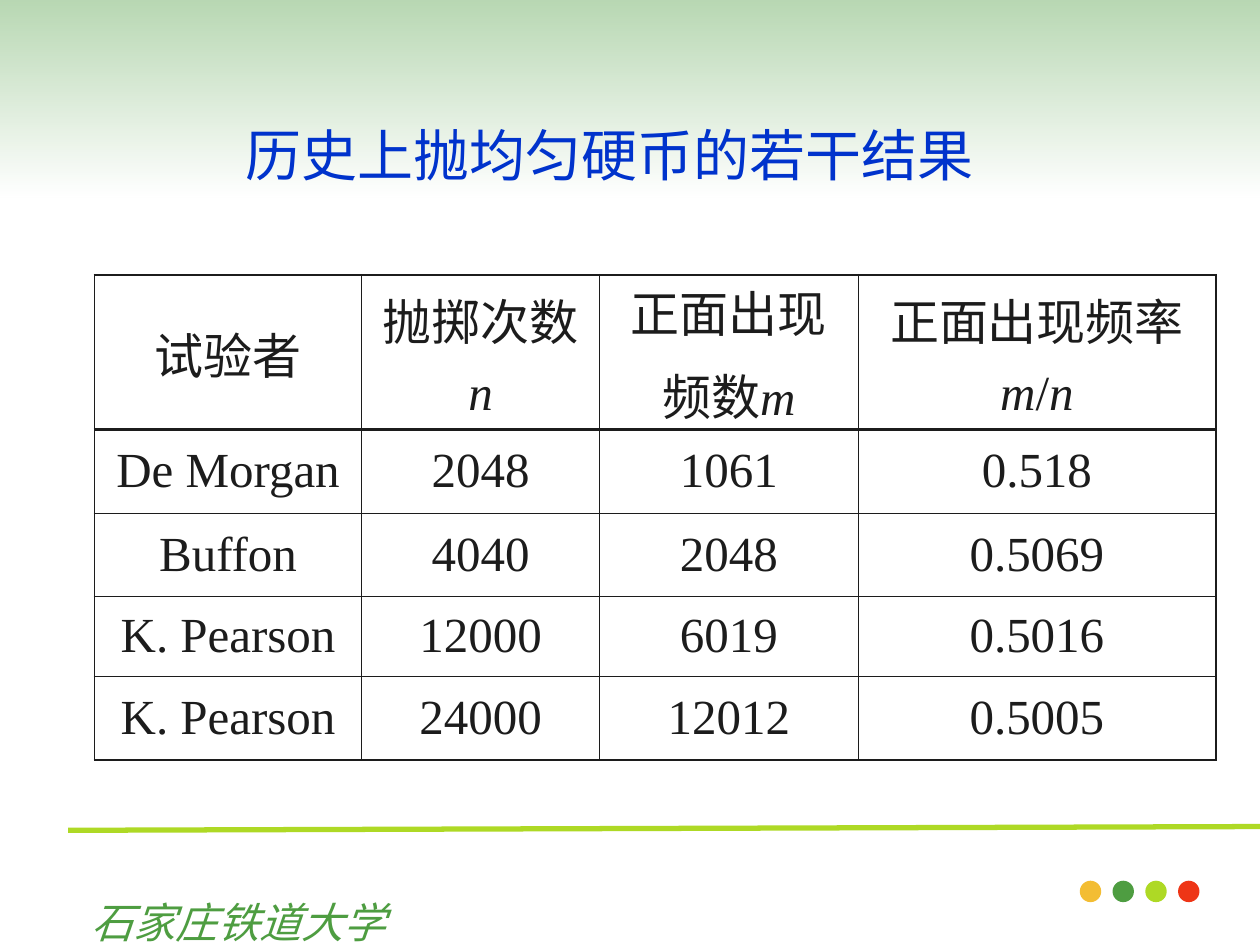
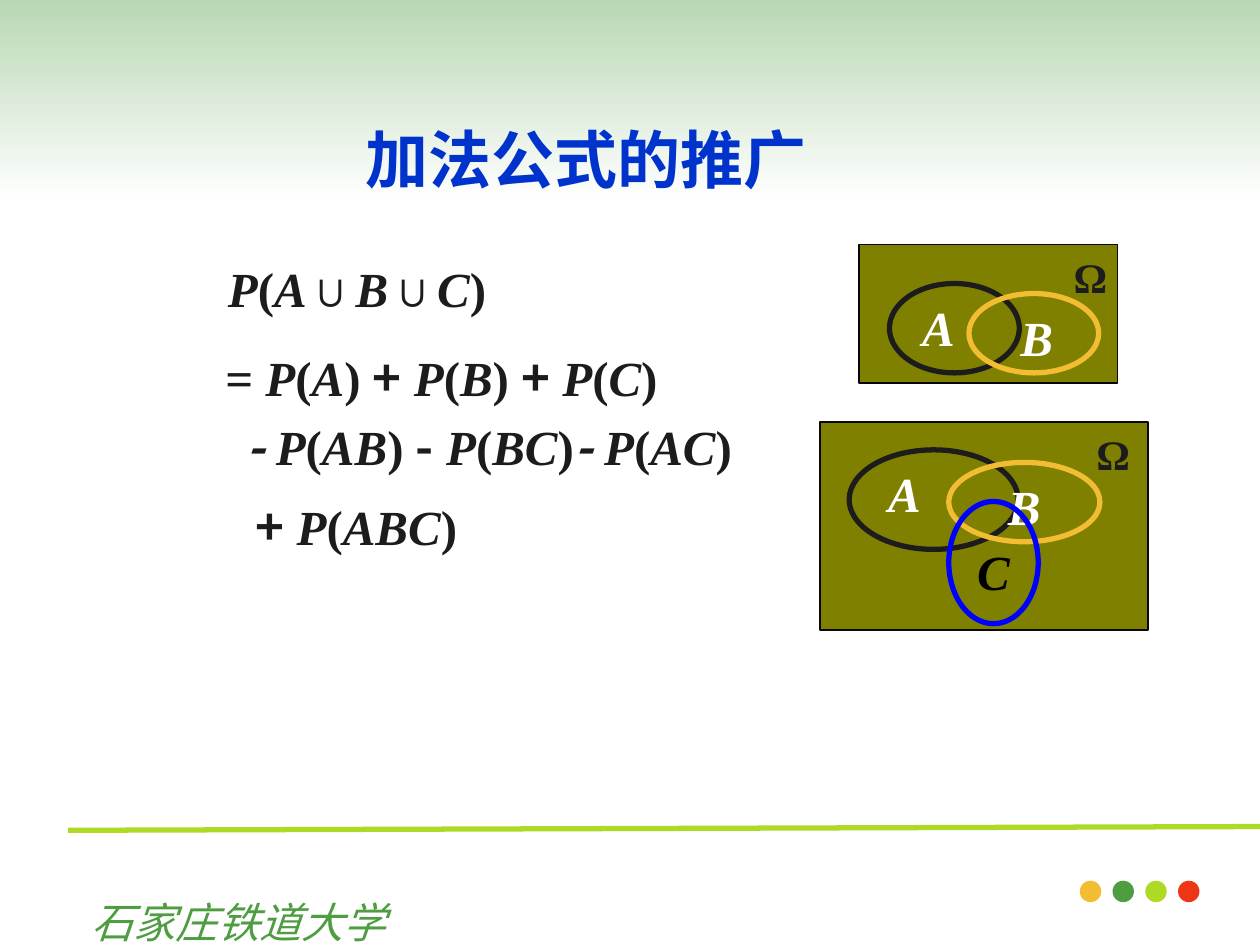
from dataclasses import dataclass
from itertools import groupby
from typing import NamedTuple

from lxml import etree
from pptx import Presentation
from pptx import util as u
from pptx.dml.color import RGBColor
from pptx.enum import shapes, text
from pptx.oxml.ns import qn

COLS, ROWS = 100, 75  # slide grid
CELL = u.Inches(0.1)
SERIF, SANS = "Times New Roman", "Noto Sans CJK SC"
C = {
    "green": "4E9D41", "lime": "AED925", "red": "EE3516", "amber": "F3BD33",
    "ink": "1C1C1C", "title": "0033CC", "olive": "808000", "edge": "080808",
    "blue": "0000FF", "white": "FFFFFF", "black": "000000",
}
LEFT, CENTER = text.PP_ALIGN.LEFT, text.PP_ALIGN.CENTER
RECT, OVAL = shapes.MSO_SHAPE.RECTANGLE, shapes.MSO_SHAPE.OVAL
THIN, FRAME, HEAVY = 0.45, 1.08, 2.21  # table rules, points


@dataclass(frozen=True)
class Box:
    """A place on the grid, in columns and rows."""
    col: float
    row: float
    cols: float
    rows: float

    def emu(self) -> list[int]:
        return [round(v * CELL) for v in (self.col, self.row, self.cols, self.rows)]


class Ring(NamedTuple):
    box: Box
    color: str
    label: str = ""
    label_box: Box | None = None


class Venn(NamedTuple):
    frame: Box
    omega: Box
    rings: list[Ring]


def rgb(name: str) -> RGBColor:
    return RGBColor.from_string(C[name])


def add_solid(parent, name: str) -> None:
    fill = etree.SubElement(parent, qn("a:solidFill"))
    etree.SubElement(fill, qn("a:srgbClr"), val=C[name])


def write(tf, content: str, *, size: float = 28, color: str = "ink", bold: bool = False,
          font: str = SERIF, align=LEFT, spacing: float = 1.0, before: float = 0) -> None:
    """Fill a frame; *stars* enclose italics, line breaks part paragraphs, signs are sans."""
    for n, line in enumerate(content.split("\n")):
        p = tf.add_paragraph() if n else tf.paragraphs[0]
        p.alignment, p.line_spacing = align, spacing
        if n:
            p.space_before = u.Pt(before)
        for k, part in enumerate(line.split("*")):
            for is_sign, chars in groupby(part, lambda ch: ch in "+-"):
                r = p.add_run()
                r.text = "".join(chars)
                f = r.font
                f.name = SANS if is_sign else font
                f.size, f.bold, f.italic = u.Pt(size), bold, k % 2 == 1
                f.color.rgb = rgb(color)
                latin = f._element.find(qn("a:latin"))
                latin.addnext(latin.makeelement(qn("a:ea"), {"typeface": SANS}))


def add_text(s, box: Box, content: str, **fmt):
    tf = s.shapes.add_textbox(*box.emu()).text_frame
    tf.word_wrap = True
    write(tf, content, spacing=1.3, **fmt)
    return tf


def add_shape(s, kind, box: Box, *, fill: str = "", line: str = "", width: float = 1):
    sp = s.shapes.add_shape(kind, *box.emu())
    sp.shadow.inherit = False
    if fill:
        sp.fill.solid()
        sp.fill.fore_color.rgb = rgb(fill)
    else:
        sp.fill.background()
    if line:
        sp.line.color.rgb = rgb(line)
        sp.line.width = u.Pt(width)
    else:
        sp.line.fill.background()
    return sp


def set_title(s, box: Box, content: str, **fmt) -> None:
    sp = s.shapes.title
    sp.left, sp.top, sp.width, sp.height = box.emu()
    tf = sp.text_frame
    tf.word_wrap, tf.auto_size = True, text.MSO_AUTO_SIZE.NONE
    tf.vertical_anchor = text.MSO_ANCHOR.TOP
    write(tf, content, color="title", **fmt)


def add_band(s) -> None:
    band = add_shape(s, RECT, Box(0, 0, COLS, 15.7))
    band.fill.gradient()
    band.fill.gradient_angle = 270
    for stop, name, place in zip(band.fill.gradient_stops, ("green", "white"), (0, 1)):
        stop.color.rgb = rgb(name)
        stop.position = place
    for clr in band._element.spPr.iter(qn("a:srgbClr")):
        etree.SubElement(clr, qn("a:alpha"), val="40000")


def add_footer(s) -> None:
    for n, name in enumerate(("amber", "green", "lime", "red")):
        add_shape(s, OVAL, Box(85.7 + 2.6 * n, 69.9, 1.7, 1.7), fill=name)
    tf = add_text(s, Box(4.95, 69.5, 28, 3.4), "*石家庄铁道大学*",
                  size=24, color="green", font=SANS, align=CENTER)
    for r in tf.paragraphs[0].runs:
        outline = etree.Element(qn("a:ln"), w=str(u.Pt(0.75)))
        add_solid(outline, "green")
        r.font._element.insert(0, outline)
    ends = [round(v * CELL) for v in (5.4, 65.9, COLS, 65.6)]
    rule = s.shapes.add_connector(shapes.MSO_CONNECTOR.STRAIGHT, *ends)
    rule.line.color.rgb = rgb("lime")
    rule.line.width = u.Pt(3)
    etree.SubElement(rule._element.spPr, qn("a:effectLst"))


def dress_master(prs, s) -> None:
    """Draw the shared parts on a slide and move them behind the master's placeholders."""
    kept = len(s.shapes)
    add_band(s)
    add_footer(s)
    tree = prs.slide_master.shapes.element
    for n, sp in enumerate(list(s.shapes)[kept:]):
        tree.insert(2 + n, sp._element)


def set_borders(cell, **widths: float) -> None:
    tc_pr = cell._tc.get_or_add_tcPr()
    for n, side in enumerate("LRTB"):
        ln = etree.Element(qn(f"a:ln{side}"), w=str(u.Pt(widths[side])))
        add_solid(ln, "ink")
        tc_pr.insert(n, ln)


def add_results(s) -> None:
    rows = [
        ("试验者", "抛掷次数\n*n*", "正面出现\n频数*m*", "正面出现频率\n*m*/*n*"),
        ("De Morgan", "2048", "1061", "0.518"),
        ("Buffon", "4040", "2048", "0.5069"),
        ("K. Pearson", "12000", "6019", "0.5016"),
        ("K. Pearson", "24000", "12012", "0.5005"),
    ]
    widths, heights = (21.2, 18.9, 20.5, 28.4), (12.3, 6.6, 6.6, 6.4, 6.6)
    box = Box(7.5, 21.8, sum(widths), sum(heights))
    table = s.shapes.add_table(len(rows), len(widths), *box.emu()).table
    table.first_row = table.horz_banding = False
    for column, width in zip(table.columns, widths):
        column.width = round(width * CELL)
    across = [FRAME, HEAVY] + [THIN] * (len(rows) - 2) + [FRAME]
    down = [FRAME] + [THIN] * (len(widths) - 1) + [FRAME]
    for i, row in enumerate(rows):
        table.rows[i].height = round(heights[i] * CELL)
        for j, content in enumerate(row):
            cell = table.cell(i, j)
            cell.fill.background()
            cell.vertical_anchor = text.MSO_ANCHOR.MIDDLE
            if i == 0:  # two tall lines need the whole row
                cell.margin_top, cell.margin_bottom = u.Inches(0.01), 0
            write(cell.text_frame, content, align=CENTER, before=7)
            set_borders(cell, L=down[j], R=down[j + 1], T=across[i], B=across[i + 1])


def add_venn(s, venn: Venn) -> None:
    add_shape(s, RECT, venn.frame, fill="olive", line="edge")
    add_text(s, venn.omega, "Ω", size=24, bold=True, align=CENTER)
    for ring in venn.rings:
        sp = add_shape(s, OVAL, ring.box, line=ring.color, width=3)
        label = f"*{ring.label}*"
        if ring.label_box:
            add_text(s, ring.label_box, label, color="white", bold=True)
        else:
            tf = sp.text_frame
            tf.word_wrap = False
            tf.vertical_anchor = text.MSO_ANCHOR.MIDDLE
            write(tf, label, color="black", bold=True, align=CENTER, spacing=1.3)


FORMULA = [
    (Box(17.1, 18.6, 32.9, 7.1), "*P*(*A*∪*B*∪*C*)"),
    (Box(16.9, 25.7, 37, 13.2), "= *P*(*A*) + *P*(*B*) + *P*(*C*)"),
    (Box(18.5, 31.2, 48.8, 7.1), "*- P*(*AB*) - *P*(*BC*)*- P*(*AC*)"),
    (Box(19.3, 37.5, 27.6, 7.1), "+ *P*(*ABC*)"),
]
VENNS = [
    Venn(Box(68.2, 19.4, 20.5, 11), Box(80.5, 18.3, 12.1, 6.2), [
        Ring(Box(70.6, 22.5, 10.3, 7.1), "ink", "A", Box(72.2, 21.7, 4.6, 7.1)),
        Ring(Box(76.9, 23.3, 10.3, 6.3), "amber", "B", Box(80, 22.5, 10.3, 7.1)),
    ]),
    Venn(Box(65.1, 33.5, 26, 16.5), Box(82.3, 32.3, 12.1, 6.2), [
        Ring(Box(67.4, 35.7, 13.4, 7.9), "ink", "A", Box(69.5, 34.9, 5.9, 7.1)),
        Ring(Box(75.3, 36.7, 12, 6.3), "amber", "B", Box(79, 35.9, 12, 7.1)),
        Ring(Box(75.3, 39.8, 7.1, 9.7), "blue", "C"),
    ]),
]


def main() -> None:
    prs = Presentation()
    prs.slide_width, prs.slide_height = COLS * CELL, ROWS * CELL
    title_only = prs.slide_layouts[5]

    s = prs.slides.add_slide(title_only)
    dress_master(prs, s)
    set_title(s, Box(18.5, 9.1, 69.3, 6.4), "历史上抛均匀硬币的若干结果", size=32)
    add_results(s)

    s = prs.slides.add_slide(title_only)
    set_title(s, Box(26.5, 9.1, 40, 7), "加法公式的推广", size=36, bold=True, align=CENTER)
    for box, line in FORMULA:
        add_text(s, box, line, bold=True)
    for venn in VENNS:
        add_venn(s, venn)

    prs.save("out.pptx")


if __name__ == "__main__":
    main()
